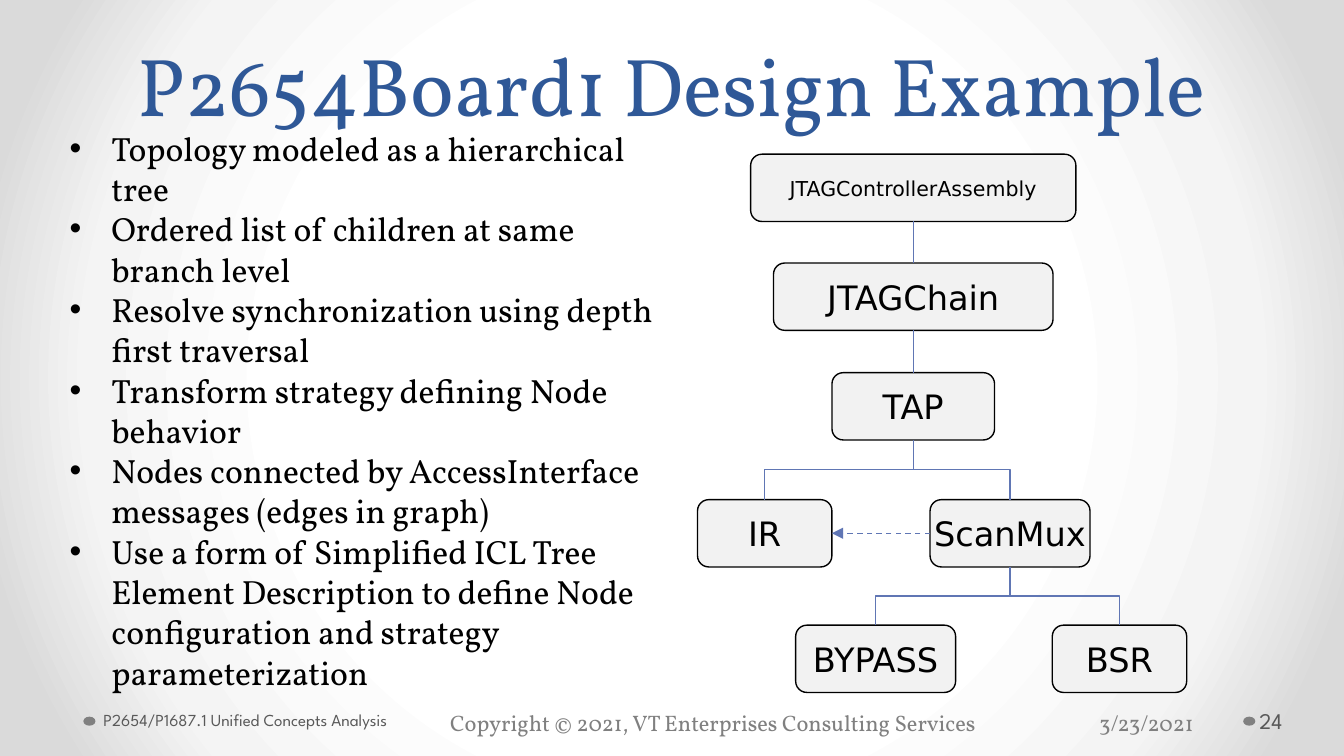
from dataclasses import dataclass
from typing import Optional

from lxml.etree import SubElement
from pptx import Presentation
from pptx.dml.color import RGBColor
from pptx.enum.dml import MSO_LINE
from pptx.enum.shapes import MSO_CONNECTOR as Link, MSO_SHAPE as Preset
from pptx.enum.text import MSO_ANCHOR as Anchor, MSO_AUTO_SIZE as AutoSize, PP_ALIGN as Align
from pptx.oxml.ns import qn
from pptx.util import Inches, Pt

WIDTH = Inches(10)
HEIGHT = WIDTH * 9 // 16
SERIF, SANS, DIAGRAM = "Vollkorn", "League Spartan", "DejaVu Sans"
BLACK, GREY, DARK_GREY = "000000", "808080", "595959"
TITLE_BLUE, LINK_BLUE, NODE_FILL = "2F5897", "6076B4", "F2F2F2"
BACKDROP = [(50, "FFFFFF"), (76, "F4F4F4"), (92, "DADADA")]
TIERS = [20.4, 34.8, 49.3, 66.1, 82.7]
NODE_HEIGHT = 8.9
TRUNK = 67.95


@dataclass
class Area:
    left: float
    top: float
    width: float
    height: float

    def emu(self) -> tuple:
        return (int(WIDTH * self.left / 100), int(HEIGHT * self.top / 100),
                int(WIDTH * self.width / 100), int(HEIGHT * self.height / 100))


@dataclass
class Node:
    label: str
    center: float
    tier: int
    width: float
    parent: Optional[str] = None
    size: int = 18


@dataclass
class Caption:
    wording: str
    area: Area
    size: int
    font: str
    color: str
    anchor: Anchor = Anchor.TOP
    left_inset: float = 0.1


NODES = [
    Node("JTAGControllerAssembly", TRUNK, 0, 24.2, size=11),
    Node("JTAGChain", TRUNK, 1, 20.8, "JTAGControllerAssembly"),
    Node("TAP", TRUNK, 2, 12.1, "JTAGChain"),
    Node("IR", 56.9, 3, 10, "TAP"),
    Node("ScanMux", 75.15, 3, 11.9, "TAP"),
    Node("BYPASS", 65.15, 4, 11.9, "ScanMux"),
    Node("BSR", 83.3, 4, 10, "ScanMux"),
]
CAPTIONS = [
    Caption("Copyright © 2021, VT Enterprises Consulting Services",
            Area(32.5, 93, 42.5, 5.3), 12, SERIF, GREY),
    Caption("24", Area(93.4, 92.6, 6.1, 5.3), 12, SANS, DARK_GREY, Anchor.MIDDLE, 0.03),
    Caption("P2654/P1687.1 Unified Concepts Analysis",
            Area(7.2, 92.6, 31.1, 5.3), 9, SANS, DARK_GREY, Anchor.MIDDLE, 0.05),
    Caption("3/23/2021", Area(80.8, 93, 11.6, 5), 12, SERIF, GREY),
]
POINTS = [
    "Topology modeled as a hierarchical tree",
    "Ordered list of children at same branch level",
    "Resolve synchronization using depth first traversal",
    "Transform strategy defining Node behavior",
    "Nodes connected by AccessInterface messages (edges in graph)",
    "Use a form of Simplified ICL Tree Element Description to define Node "
    "configuration and strategy parameterization",
]


def rgb(color: str) -> RGBColor:
    return RGBColor.from_string(color)


def style(paragraph, size: int, font: str, color: str) -> None:
    for run in paragraph.runs:
        run.font.size = Pt(size)
        run.font.name = font
        run.font.color.rgb = rgb(color)


def paint_backdrop(slide) -> None:
    slide.background.fill.gradient()
    gradient = next(slide._element.iter(qn("a:gradFill")))
    for child in list(gradient):
        gradient.remove(child)
    stops = SubElement(gradient, qn("a:gsLst"))
    for position, color in BACKDROP:
        stop = SubElement(stops, qn("a:gs"), pos=str(position * 1000))
        SubElement(stop, qn("a:srgbClr"), val=color)
    circle = SubElement(gradient, qn("a:path"), path="circle")
    SubElement(circle, qn("a:fillToRect"), l="50000", t="50000", r="50000", b="50000")


def add_title(slide, wording: str) -> None:
    title = slide.shapes.title
    title.left, title.top, title.width, title.height = Area(5, -4.8, 90, 23.3).emu()
    frame = title.text_frame
    frame.text = wording
    frame.auto_size = AutoSize.NONE
    frame.vertical_anchor = Anchor.BOTTOM
    heading = frame.paragraphs[0]
    heading.alignment = Align.CENTER
    heading.line_spacing = Pt(58)
    style(heading, 44, SERIF, TITLE_BLUE)


def add_points(slide) -> None:
    frame = slide.shapes.add_textbox(*Area(4.2, 16, 45.8, 77.2).emu()).text_frame
    frame.word_wrap = True
    frame.text = "\n".join(POINTS)
    hang = Inches(0.31)
    for point in frame.paragraphs:
        properties = point._p.get_or_add_pPr()
        properties.set("marL", str(hang))
        properties.set("indent", str(-hang))
        SubElement(properties, qn("a:buFont"), typeface="Arial")
        SubElement(properties, qn("a:buChar"), char="•")
        style(point, 18, SERIF, BLACK)


def add_caption(slide, caption: Caption) -> None:
    frame = slide.shapes.add_textbox(*caption.area.emu()).text_frame
    frame.word_wrap = True
    frame.vertical_anchor = caption.anchor
    frame.margin_left = Inches(caption.left_inset)
    frame.text = caption.wording
    style(frame.paragraphs[0], caption.size, caption.font, caption.color)


def add_dot(slide, left: float) -> None:
    dot = slide.shapes.add_shape(Preset.OVAL, *Area(left, 94.8, 0.9, 1.2).emu())
    dot.shadow.inherit = False
    dot.fill.solid()
    dot.fill.fore_color.rgb = rgb(GREY)
    dot.line.fill.background()


def add_node(slide, node: Node):
    area = Area(node.center - node.width / 2, TIERS[node.tier], node.width, NODE_HEIGHT)
    box = slide.shapes.add_shape(Preset.FLOWCHART_ALTERNATE_PROCESS, *area.emu())
    box.shadow.inherit = False
    box.fill.solid()
    box.fill.fore_color.rgb = rgb(NODE_FILL)
    box.line.color.rgb = rgb(BLACK)
    box.line.width = Pt(0.75)
    frame = box.text_frame
    frame.text = node.label
    frame.word_wrap = False
    frame.vertical_anchor = Anchor.MIDDLE
    frame.paragraphs[0].alignment = Align.CENTER
    style(frame.paragraphs[0], node.size, DIAGRAM, BLACK)
    return box


def add_link(slide, kind: Link, source, source_side: int, target, target_side: int):
    link = slide.shapes.add_connector(kind, 0, 0, 0, 0)
    link.begin_connect(source, source_side)
    link.end_connect(target, target_side)
    link.line.color.rgb = rgb(LINK_BLUE)
    link.line.width = Pt(0.75)
    SubElement(link._element.spPr, qn("a:effectLst"))
    return link


def add_branch(slide, parent, child) -> None:
    link = add_link(slide, Link.ELBOW, parent, 2, child, 0)
    across, down = link.end_x - link.begin_x, link.end_y - link.begin_y
    middle_x, middle_y = (link.begin_x + link.end_x) // 2, (link.begin_y + link.end_y) // 2
    link.left, link.top = middle_x - down // 2, middle_y - abs(across) // 2
    link.width, link.height = down, abs(across)
    turn = link._element.spPr.find(qn("a:xfrm"))
    turn.set("rot", str((270 if across > 0 else 90) * 60000))
    turn.set("flipH", "1" if across > 0 else "0")


def add_tree(slide) -> None:
    boxes = {node.label: add_node(slide, node) for node in NODES}
    for node in NODES:
        if node.parent and node.center == TRUNK:
            add_link(slide, Link.STRAIGHT, boxes[node.parent], 2, boxes[node.label], 0)
        elif node.parent:
            add_branch(slide, boxes[node.parent], boxes[node.label])
    selection = add_link(slide, Link.STRAIGHT, boxes["ScanMux"], 1, boxes["IR"], 3)
    selection.line.dash_style = MSO_LINE.DASH
    SubElement(selection.line._get_or_add_ln(), qn("a:tailEnd"), type="triangle")


def main() -> None:
    deck = Presentation()
    deck.slide_width, deck.slide_height = WIDTH, HEIGHT
    slide = deck.slides.add_slide(deck.slide_layouts[5])
    paint_backdrop(slide)
    for left in (92.5, 6.2):
        add_dot(slide, left)
    add_title(slide, "P2654Board1 Design Example")
    add_tree(slide)
    for caption in CAPTIONS:
        add_caption(slide, caption)
    add_points(slide)
    deck.save("out.pptx")


if __name__ == "__main__":
    main()
